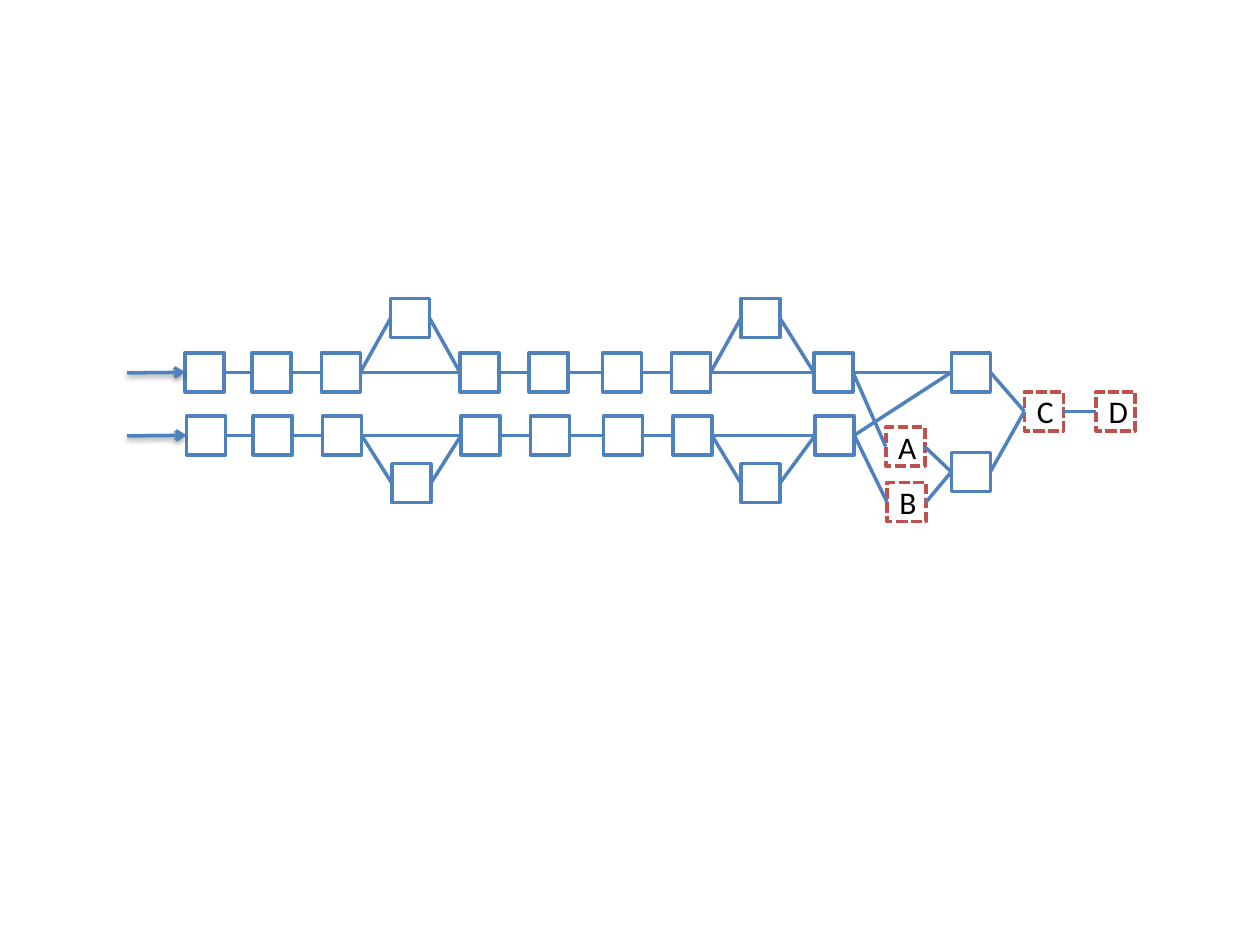
import pptx
import pptx.dml.color
import pptx.enum.dml
import pptx.enum.shapes
import pptx.enum.text
import pptx.oxml.ns
import pptx.util
from lxml import etree
from pptx.util import Inches

LEFT, RIGHT = 1, 3


def colour(code):
    return pptx.dml.color.RGBColor.from_string(code)


def add_xml(parent, tag, **attributes):
    return etree.SubElement(parent, pptx.oxml.ns.qn(tag), attributes)


def write(frame, text, size=18, font="Calibri", ink="000000"):
    """Put one centred paragraph into a text frame."""
    frame.vertical_anchor = pptx.enum.text.MSO_ANCHOR.MIDDLE
    para = frame.paragraphs[0]
    para.alignment = pptx.enum.text.PP_ALIGN.CENTER
    span = para.add_run()
    span.text = text
    span.font.size = pptx.util.Pt(size)
    span.font.name = font
    span.font.color.rgb = colour(ink)


class Diagram:
    BLUE, RED, WHITE = "4F81BD", "C0504D", "FFFFFF"
    SIDE = 0.31
    WEIGHT = 2

    def __init__(self, page):
        self.page = page

    def stroke(self, line, code):
        line.color.rgb = colour(code)
        line.width = pptx.util.Pt(self.WEIGHT)

    def node(self, left, top, label=None):
        """Draw a solid blue square, or a dashed red one when labelled."""
        box = self.page.shapes.add_shape(
            pptx.enum.shapes.MSO_SHAPE.RECTANGLE,
            Inches(left), Inches(top), Inches(self.SIDE), Inches(self.SIDE))
        box.shadow.inherit = False
        box.fill.solid()
        box.fill.fore_color.rgb = colour(self.WHITE)
        self.stroke(box.line, self.RED if label else self.BLUE)
        if label:
            box.line.dash_style = pptx.enum.dml.MSO_LINE.SQUARE_DOT
            # The preset dash is set directly to get the longer system dash.
            box.line._get_or_add_ln().find(
                pptx.oxml.ns.qn("a:prstDash")).set("val", "sysDash")
            write(box.text_frame, label)
        return box

    def connector(self, x, y, target):
        line = self.page.shapes.add_connector(
            pptx.enum.shapes.MSO_CONNECTOR.STRAIGHT,
            Inches(x), Inches(y), target.left, target.top)
        line.end_connect(target, LEFT)
        self.stroke(line.line, self.BLUE)
        effects = add_xml(line._element.spPr, "a:effectLst")
        return line, effects

    def link(self, source, target):
        line, _ = self.connector(0, 0, target)
        line.begin_connect(source, RIGHT)

    def entry(self, x, y, target):
        """Draw a shadowed arrow that leads into a node."""
        line, effects = self.connector(x, y, target)
        add_xml(line.line._get_or_add_ln(), "a:tailEnd", type="arrow")
        shadow = add_xml(effects, "a:outerShdw", blurRad="40000", dist="20000",
                         dir="5400000", rotWithShape="0")
        black = add_xml(shadow, "a:srgbClr", val="000000")
        add_xml(black, "a:alpha", val="38000")

    def chain(self, lefts, top, detours, detour_top):
        """Draw a linked row; detours maps a gap's first node to a side node."""
        nodes = [self.node(left, top) for left in lefts]
        for index, (source, target) in enumerate(zip(nodes, nodes[1:])):
            self.link(source, target)
            if index in detours:
                side_node = self.node(detours[index], detour_top)
                self.link(source, side_node)
                self.link(side_node, target)
        self.entry(1.01, top + 0.16, nodes[0])
        return nodes[-1]


def main():
    deck = pptx.Presentation()
    deck.slide_width, deck.slide_height = Inches(10), Inches(7.5)
    diagram = Diagram(deck.slides.add_slide(deck.slide_layouts[6]))

    upper_lefts = [1.47, 2, 2.55, 3.65, 4.2, 4.78, 5.33, 6.46]
    lower_lefts = [left + 0.01 for left in upper_lefts]
    upper_end = diagram.chain(upper_lefts, 2.8, {2: 3.1, 6: 5.88}, 2.37)
    lower_end = diagram.chain(lower_lefts, 3.3, {2: 3.11, 6: 5.88}, 3.68)

    node_a = diagram.node(7.03, 3.39, "A")
    node_b = diagram.node(7.04, 3.83, "B")
    upper_merge = diagram.node(7.55, 2.8)
    lower_merge = diagram.node(7.55, 3.59)
    node_c = diagram.node(8.13, 3.11, "C")
    node_d = diagram.node(8.7, 3.11, "D")

    for source, target in [
        (upper_end, node_a), (upper_end, upper_merge),
        (lower_end, node_b), (lower_end, upper_merge),
        (node_a, lower_merge), (node_b, lower_merge),
        (upper_merge, node_c), (lower_merge, node_c), (node_c, node_d),
    ]:
        diagram.link(source, target)

    deck.save("out.pptx")


if __name__ == "__main__":
    main()
